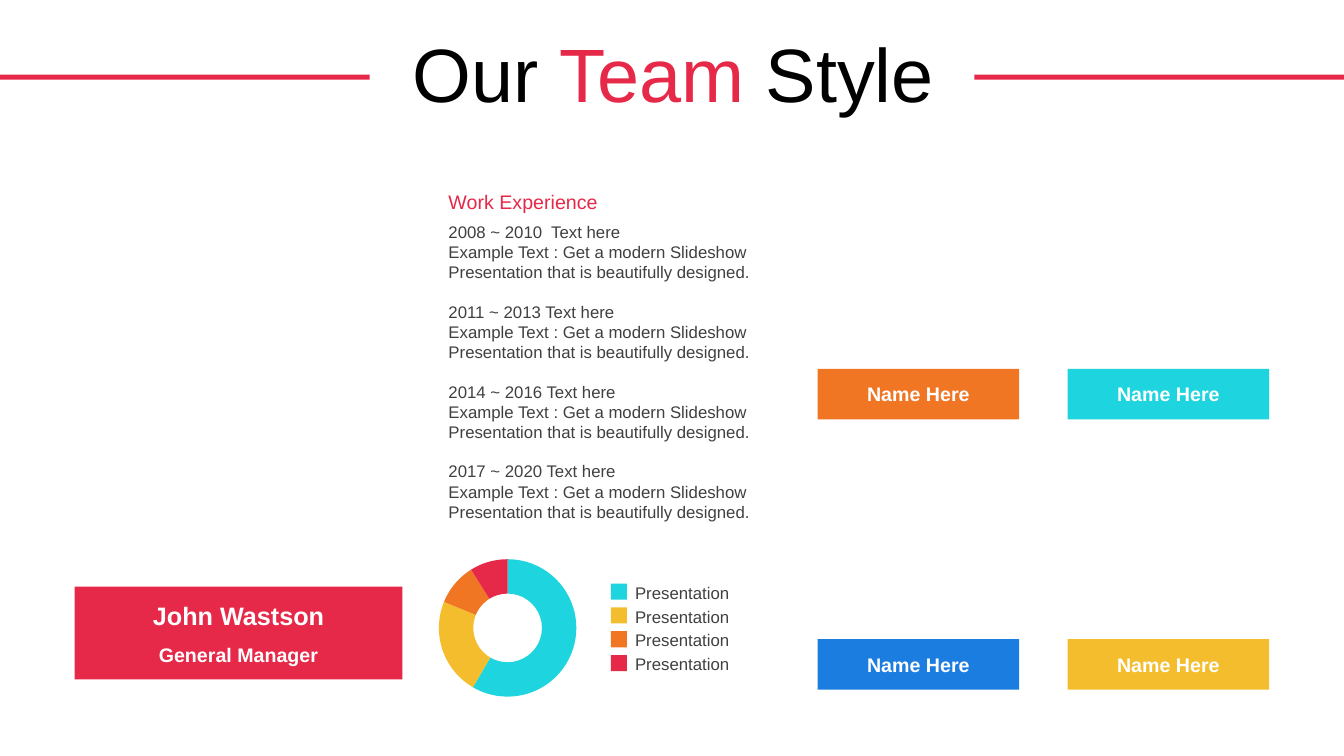
from pptx import Presentation
from pptx.chart.data import CategoryChartData
from pptx.dml.color import RGBColor
from pptx.enum.chart import XL_CHART_TYPE
from pptx.enum.shapes import MSO_SHAPE
from pptx.enum.text import MSO_ANCHOR, PP_ALIGN
from pptx.util import Inches, Pt

RECT = MSO_SHAPE.RECTANGLE
RING = XL_CHART_TYPE.DOUGHNUT
TOP, MID = MSO_ANCHOR.TOP, MSO_ANCHOR.MIDDLE
LEFT, MIDDLE = PP_ALIGN.LEFT, PP_ALIGN.CENTER

RED = RGBColor(0xE6, 0x29, 0x49)
CYAN = RGBColor(0x1E, 0xD4, 0xDE)
GOLD = RGBColor(0xF4, 0xBD, 0x2D)
ORANGE = RGBColor(0xF0, 0x76, 0x24)
BLUE = RGBColor(0x1C, 0x7D, 0xE1)
GREY = RGBColor(0x40, 0x40, 0x40)
BLACK = RGBColor(0, 0, 0)
WHITE = RGBColor(0xFF, 0xFF, 0xFF)

WIDE, HIGH = Inches(13.33), Inches(7.5)
YEARS = ["2008 ~ 2010  Text here", "2011 ~ 2013 Text here",
         "2014 ~ 2016 Text here", "2017 ~ 2020 Text here"]
DETAIL = ("Example Text : Get a modern Slideshow "
          "Presentation that is beautifully designed.")
SHARES = [(59, CYAN), (23, GOLD), (10, ORANGE), (9, RED)]
TEAM = [[ORANGE, CYAN], [BLUE, GOLD]]


def write(para, text, size=12, color=GREY, bold=False, align=LEFT, before=0):
    """Add a run to the paragraph, with its format."""
    para.alignment = align
    para.space_before = Pt(before)
    run = para.add_run()
    run.text = text
    run.font.name = "Arial"
    run.font.size = Pt(size)
    run.font.bold = bold
    run.font.color.rgb = color


class Page:
    """Draws on one slide; lengths are percentages of its width and height."""

    def __init__(self, slide):
        self.shapes = slide.shapes

    def place(self, left, top, width, height):
        return (round(WIDE * left / 100), round(HIGH * top / 100),
                round(WIDE * width / 100), round(HIGH * height / 100))

    def block(self, box, color):
        """Add a plain rectangle and return its text frame."""
        shape = self.shapes.add_shape(RECT, *self.place(*box))
        shape.shadow.inherit = False
        shape.fill.solid()
        shape.fill.fore_color.rgb = color
        shape.line.fill.background()
        shape.text_frame.vertical_anchor = MID
        return shape.text_frame

    def label(self, box, anchor=TOP):
        """Add an empty text box and return its text frame."""
        frame = self.shapes.add_textbox(*self.place(*box)).text_frame
        frame.word_wrap = True
        frame.vertical_anchor = anchor
        return frame

    def ring(self, box, shares):
        data = CategoryChartData()
        data.categories = [str(n + 1) for n in range(len(shares))]
        data.add_series("Series 1", [value for value, _ in shares])
        chart = self.shapes.add_chart(RING, *self.place(*box), data).chart
        chart.has_legend = False
        chart.has_title = False
        chart.font.name = "Arial"
        chart.font.size = Pt(18)
        chart.font.color.rgb = BLACK
        plot = chart.plots[0]
        plot.vary_by_categories = True
        for index, (_, color) in enumerate(shares):
            form = plot.series[0].points[index].format
            form.fill.solid()
            form.fill.fore_color.rgb = color
            form.line.fill.background()


def title(page):
    for left in (0, 72.5):
        page.block((left, 9.87, 27.5, 0.67), RED)
    para = page.label((2.63, 4.13, 94.95, 12.27), MID).paragraphs[0]
    para.line_spacing = 0.9
    for text, color in (("Our ", BLACK), ("Team", RED), (" Style", BLACK)):
        write(para, text, size=54, color=color, align=MIDDLE, before=10)


def leader(page):
    card = page.block((5.55, 77.6, 24.4, 12.27), RED)
    style = {"color": WHITE, "bold": True, "align": MIDDLE}
    write(card.paragraphs[0], "John Wastson", size=18, **style)
    write(card.add_paragraph(), "General Manager", size=14, before=9, **style)


def career(page):
    head = page.label((32.63, 24.4, 25.58, 4.53))
    write(head.paragraphs[0], "Work Experience", size=14, color=RED)
    body = page.label((32.63, 28.67, 25.58, 41.73))
    for index, year in enumerate(YEARS):
        para = body.add_paragraph() if index else body.paragraphs[0]
        write(para, year, before=13.8 if index else 0)
        write(body.add_paragraph(), DETAIL)


def skills(page):
    page.ring((30.98, 72.13, 13.58, 21.87), SHARES)
    for index, (_, color) in enumerate(SHARES):
        drop = 3.15 * index
        page.block((45.45, 77.2 + drop, 1.2, 2.13), color)
        frame = page.label((47.25, 76.4 + drop, 8.55, 4))
        frame.margin_left = frame.margin_right = 0
        write(frame.paragraphs[0], "Presentation")


def team(page):
    for row, colors in enumerate(TEAM):
        for col, color in enumerate(colors):
            box = (60.83 + 18.6 * col, 48.8 + 35.75 * row, 15, 6.67)
            write(page.block(box, color).paragraphs[0], "Name Here",
                  size=14, color=WHITE, bold=True, align=MIDDLE)


def main():
    deck = Presentation()
    deck.slide_width, deck.slide_height = WIDE, HIGH
    page = Page(deck.slides.add_slide(deck.slide_layouts[6]))
    for part in (title, leader, career, skills, team):
        part(page)
    deck.save("out.pptx")


if __name__ == "__main__":
    main()
